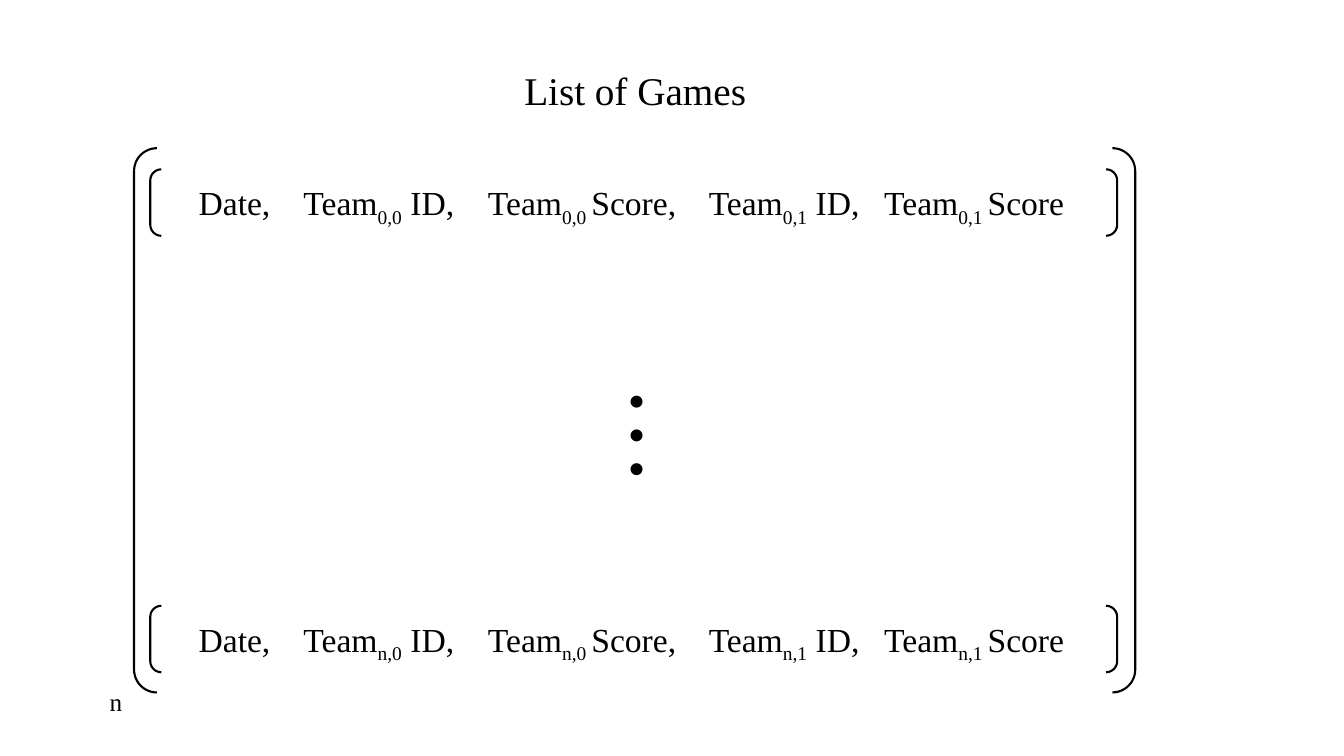
from dataclasses import dataclass

from lxml import etree
from pptx import Presentation
from pptx import util as u
from pptx.dml.color import RGBColor
from pptx.enum import shapes, text
from pptx.oxml.ns import qn


@dataclass(frozen=True)
class Theme:
    ink: RGBColor = RGBColor(0, 0, 0)
    font: str = "Times New Roman"
    title: int = 28
    field: int = 24
    label: int = 18
    dots: int = 72
    line: float = 1.5
    subscript: str = "-25000"


THEME = Theme()
FIELD_STOPS = (1.04, 2.87, 5.06, 6.8)


def set_all(target, values):
    for name, value in values.items():
        setattr(target, name, value)


def add_bracket(page, left, top, width, height, curve=0.16667):
    bracket = page.shapes.add_shape(
        shapes.MSO_SHAPE.DOUBLE_BRACKET,
        *map(u.Inches, (left, top, width, height)))
    bracket.adjustments[0] = curve
    bracket.shadow.inherit = False
    bracket.fill.background()
    bracket.line.color.rgb = THEME.ink
    bracket.line.width = u.Pt(THEME.line)


def add_span(para, words, size, lowered=False):
    span = para.add_run()
    span.text = words
    set_all(span.font, {"name": THEME.font, "size": u.Pt(size)})
    span.font.color.rgb = THEME.ink
    if lowered:
        span.font._element.set("baseline", THEME.subscript)


def add_box(page, left, top, width, height, spans, size,
            align=text.PP_ALIGN.CENTER, **frame_format):
    box = page.shapes.add_textbox(
        *map(u.Inches, (left, top, width, height)))
    set_all(box.text_frame, {"word_wrap": True, **frame_format})
    para = box.text_frame.paragraphs[0]
    para.alignment = align
    for words, lowered in spans:
        add_span(para, words, size, lowered)
    return box


def add_tab_stops(para, stops):
    tabs = etree.SubElement(para._p.get_or_add_pPr(), qn("a:tabLst"))
    for stop in stops:
        etree.SubElement(tabs, qn("a:tab"),
                         pos=str(u.Inches(stop)), algn="l")


def add_game(page, top, game):
    add_bracket(page, 1.49, top, 9.59, 0.66)
    spans = [("Date,", False)]
    for team in range(2):
        end = "," if team == 0 else ""
        spans += [("\tTeam", False), (f"{game},{team}", True),
                  (" ID,\tTeam", False), (f"{game},{team} ", True),
                  (f"Score{end}", False)]
    box = add_box(page, 1.61, top + 0.08, 9.31, 0.5, spans, THEME.field,
                  text.PP_ALIGN.LEFT, margin_left=u.Inches(0.36))
    add_tab_stops(box.text_frame.paragraphs[0], FIELD_STOPS)


def main():
    deck = Presentation()
    set_all(deck, {"slide_width": u.Inches(13.33),
                   "slide_height": u.Inches(7.5)})
    page = deck.slides.add_slide(deck.slide_layouts[6])

    add_bracket(page, 1.33, 1.47, 9.93, 5.4, curve=0.042)
    add_game(page, 1.68, "0")
    dots = add_box(page, 4.96, 3.67, 3.42, 1.31, [("…", False)], THEME.dots)
    dots.rotation = 90
    add_box(page, 0.99, 6.76, 0.37, 0.4, [("n", False)], THEME.label,
            text.PP_ALIGN.LEFT)
    add_box(page, 5.03, 0.61, 2.54, 0.57, [("List of Games", False)],
            THEME.title)
    add_game(page, 6.01, "n")

    deck.save("out.pptx")


main()
